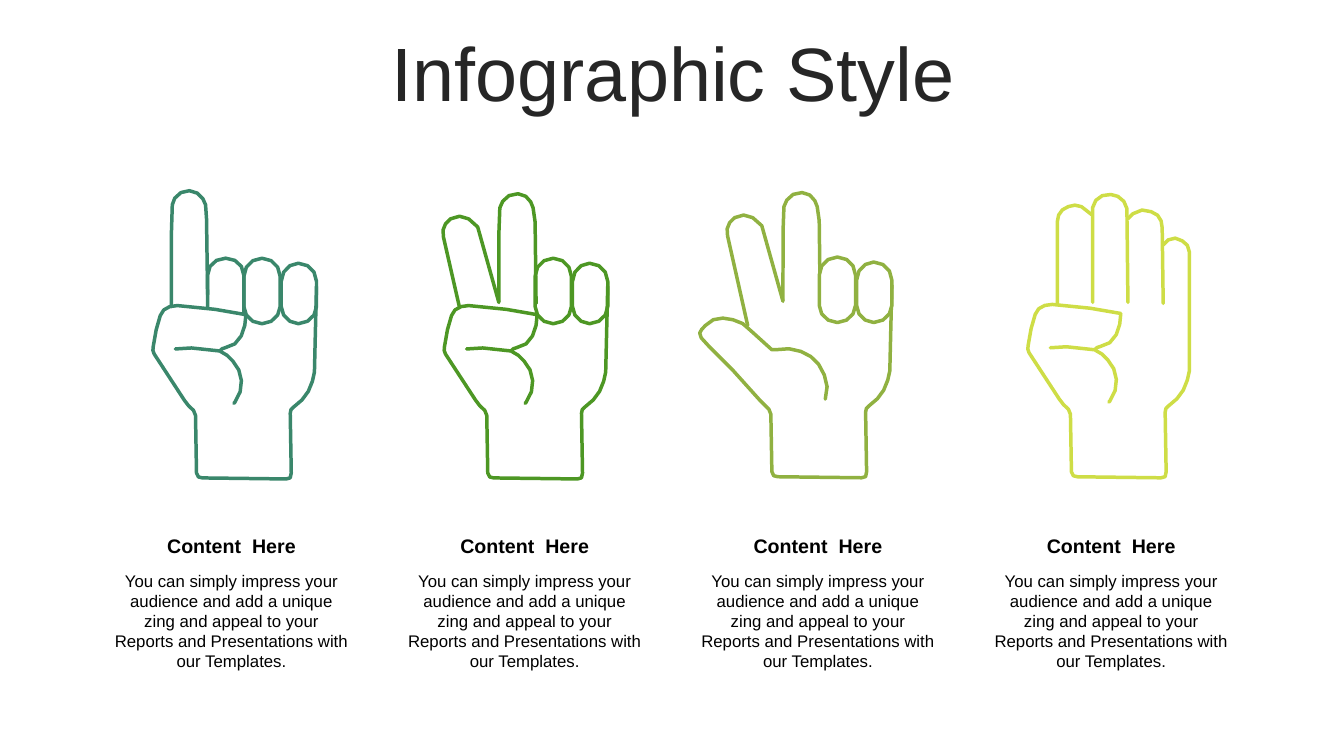
from math import ceil, dist, sqrt

from lxml import etree
from pptx import Presentation
from pptx.dml.color import RGBColor
from pptx.enum.text import MSO_ANCHOR, MSO_AUTO_SIZE, PP_ALIGN
from pptx.oxml.ns import qn
from pptx.util import Cm, Pt

CENTER = PP_ALIGN.CENTER
MIDDLE, TOP = MSO_ANCHOR.MIDDLE, MSO_ANCHOR.TOP
NO_AUTOFIT = MSO_AUTO_SIZE.NONE

WHITE = RGBColor(0xFF, 0xFF, 0xFF)
BLACK = RGBColor(0x00, 0x00, 0x00)
CHARCOAL = RGBColor(0x26, 0x26, 0x26)
TEAL = RGBColor(0x3A, 0x87, 0x6B)
GREEN = RGBColor(0x4D, 0x97, 0x24)
OLIVE = RGBColor(0x90, 0xB1, 0x41)
LIME = RGBColor(0xCE, 0xDD, 0x46)

FONT = "Arial"
UNIT = Cm(2.54) // 100  # one step of the hand outlines

# Hand outlines: M = start, L = line, C = cubic curve, Z = close
FIST = ("M 68 160 C 70 158 71 157 73 157 C 77 156 80 155 83 153 "
        "C 91 147 94 134 94 124 C 94 122 35 115 26 115 "
        "C 18 115 11 118 9 125 C 7 130 6 134 5 139 C 4 142 3 150 2 156 "
        "C 1 158 2 161 3 163 C 10 172 26 199 33 209 ")
THUMB_OUT = ("M 98 209 C 100 200 101 193 97 185 C 91 169 79 161 62 159 "
             "C 58 159 52 159 48 160 L 45 160 "
             "C 39 155 28 144 24 141 C 20 137 18 135 16 134 "
             "C 4 128 -12 125 -21 136 C -26 142 -32 143 -18 156 "
             "C -15 159 25 198 33 210 ")
WRIST = ("C 34 212 40 217 42 219 C 43 219 44 222 44 224 "
         "L 45 281 C 46 285 47 286 51 286 "
         "L 134 287 C 138 287 139 286 139 281 "
         "L 138 222 C 138 219 139 217 141 216 "
         "C 151 209 157 201 160 190 C 161 187 162 184 162 181 ")
SIDE = "L 164 96"
SIDE_WITH_LITTLE = ("L 162 63 C 162 58 159 54 155 52 "
                    "C 151 49 145 48 141 51 C 139 52 138 53 136 56")
CREASE = ("M 24 158 L 40 157 L 68 160 "
          "C 74 162 77 166 81 170 C 91 180 93 198 83 211 L 82 212")
CURLED_MIDDLE = "M 56 117 L 56 85 C 56 75 64 68 74 68 C 84 68 92 75 92 85 L 92 122"
CURLED_RING = ("M 110 133 C 100 133 92 125 92 116 L 92 86 C 92 76 100 68 110 68 "
               "C 120 68 128 76 128 86 L 128 116 C 128 125 120 133 110 133 Z")
CURLED_LITTLE = ("M 146 133 C 137 133 129 125 129 116 L 129 91 C 129 81 137 73 146 73 "
                 "C 156 73 164 81 164 91 L 164 116 C 164 125 156 133 146 133 Z")
POINTING = ("M 56 104 L 55 29 L 54 15 "
            "C 53 10 47 1 38 1 C 29 0 21 9 21 15 C 21 15 19 55 20 116")
SPREAD_INDEX = ("M 56 112 L 35 37 C 33 34 28 30 26 29 C 21 26 13 25 8 29 "
                "C 2 33 -1 40 1 47 ")
SPREAD_MIDDLE = ("M 93 113 L 92 32 L 90 18 "
                 "C 89 13 84 4 75 4 C 65 3 58 12 57 18 C 57 18 55 50 56 111")
OPEN_INDEX = ("M 65 26 L 60 22 C 56 17 48 15 42 18 "
              "C 35 20 31 26 31 33 L 31 115")
OPEN_MIDDLE = ("M 101 113 L 100 20 C 99 12 91 6 84 6 "
               "C 75 5 67 11 66 19 L 66 113")
OPEN_RING = ("M 101 30 L 106 25 C 112 21 118 20 124 23 "
             "C 132 25 135 32 135 39 L 136 114")

# Left, top, colour, fill and outlines of each hand
HANDS = [
    (Cm(3.81), Cm(4.78), TEAL, None,
     [POINTING, CURLED_MIDDLE, CURLED_RING, CURLED_LITTLE, CREASE, FIST + WRIST + SIDE]),
    (Cm(11.15), Cm(4.78), GREEN, None,
     [SPREAD_MIDDLE, SPREAD_INDEX + "L 17 117", CURLED_RING, CURLED_LITTLE,
      CREASE, FIST + WRIST + SIDE]),
    (Cm(18.31), Cm(4.75), OLIVE, WHITE,
     [SPREAD_MIDDLE, THUMB_OUT + WRIST + SIDE, SPREAD_INDEX + "L 21 136",
      CURLED_RING, CURLED_LITTLE]),
    (Cm(25.86), Cm(4.75), LIME, WHITE,
     [FIST + WRIST + SIDE_WITH_LITTLE, OPEN_INDEX, OPEN_MIDDLE, OPEN_RING, CREASE]),
]

HEADING = "Content  Here"
BODY = ("You can simply impress your audience and add a unique zing and appeal "
        "to your Reports and Presentations with our Templates.")


def curve_points(a, b, c, d):
    """Cut a cubic curve into lines: the stronger its bend, the more of them."""
    bend = max(abs((d[0] - a[0]) * (q[1] - a[1]) - (d[1] - a[1]) * (q[0] - a[0]))
               for q in (b, c)) / dist(a, d)
    steps = max(1, ceil(sqrt(bend)))
    points = []
    for step in range(1, steps + 1):
        t = step / steps
        weights = ((1 - t) ** 3, 3 * t * (1 - t) ** 2, 3 * t * t * (1 - t), t ** 3)
        points.append(tuple(sum(w * q[axis] for w, q in zip(weights, (a, b, c, d)))
                            for axis in (0, 1)))
    return points


def outline_points(outline):
    tokens = iter(outline.split())
    points = []
    for command in tokens:
        if command == "Z":
            continue
        count = 3 if command == "C" else 1
        ends = [(int(next(tokens)), int(next(tokens))) for _ in range(count)]
        points += curve_points(points[-1], *ends) if command == "C" else ends
    return points


def add_hand(s, left, top, color, fill, outlines):
    for outline in outlines:
        points = [(left + x * UNIT, top + y * UNIT) for x, y in outline_points(outline)]
        builder = s.shapes.build_freeform(*points[0])
        builder.add_line_segments(points[1:], close=outline.endswith("Z"))
        part = builder.convert_to_shape()
        part.shadow.inherit = False
        if fill is None:
            part.fill.background()
        else:
            part.fill.solid()
            part.fill.fore_color.rgb = fill
        part.line.color.rgb = color
        part.line.width = Pt(2.5)
        # Round caps and joins
        ln = part._element.spPr.find(qn("a:ln"))
        ln.set("cap", "rnd")
        etree.SubElement(ln, qn("a:round"))


def format_text(tf, text, size, color, anchor, bold=False):
    tf.word_wrap = True
    tf.auto_size = NO_AUTOFIT
    tf.vertical_anchor = anchor
    tf.text = text
    p = tf.paragraphs[0]
    p.alignment = CENTER
    font = p.runs[0].font
    font.name, font.size, font.bold = FONT, Pt(size), bold
    font.color.rgb = color


def add_title(s, left, top, width, height):
    title = s.shapes.title
    title.left, title.top, title.width, title.height = left, top, width, height
    format_text(title.text_frame, "Infographic Style", 54, CHARCOAL, MIDDLE)
    title.text_frame.paragraphs[0].line_spacing = 0.9


def add_caption(s, left, top, width):
    heading = s.shapes.add_textbox(left, top, width, Cm(0.86))
    format_text(heading.text_frame, HEADING, 14, BLACK, MIDDLE, bold=True)
    body = s.shapes.add_textbox(left, top + Cm(0.94), width, Cm(2.84))
    format_text(body.text_frame, BODY, 12, BLACK, TOP)


def main():
    prs = Presentation()
    prs.slide_width, prs.slide_height = Cm(33.87), Cm(19.05)
    s = prs.slides.add_slide(prs.slide_layouts[5])
    add_title(s, Cm(0.89), Cm(0.94), Cm(32.16), Cm(2.01))
    # Four columns: a hand above its caption
    for column, hand in enumerate(HANDS):
        add_hand(s, *hand)
        add_caption(s, Cm(2.62) + column * Cm(7.39), Cm(13.31), Cm(6.43))
    prs.save("out.pptx")


if __name__ == "__main__":
    main()
